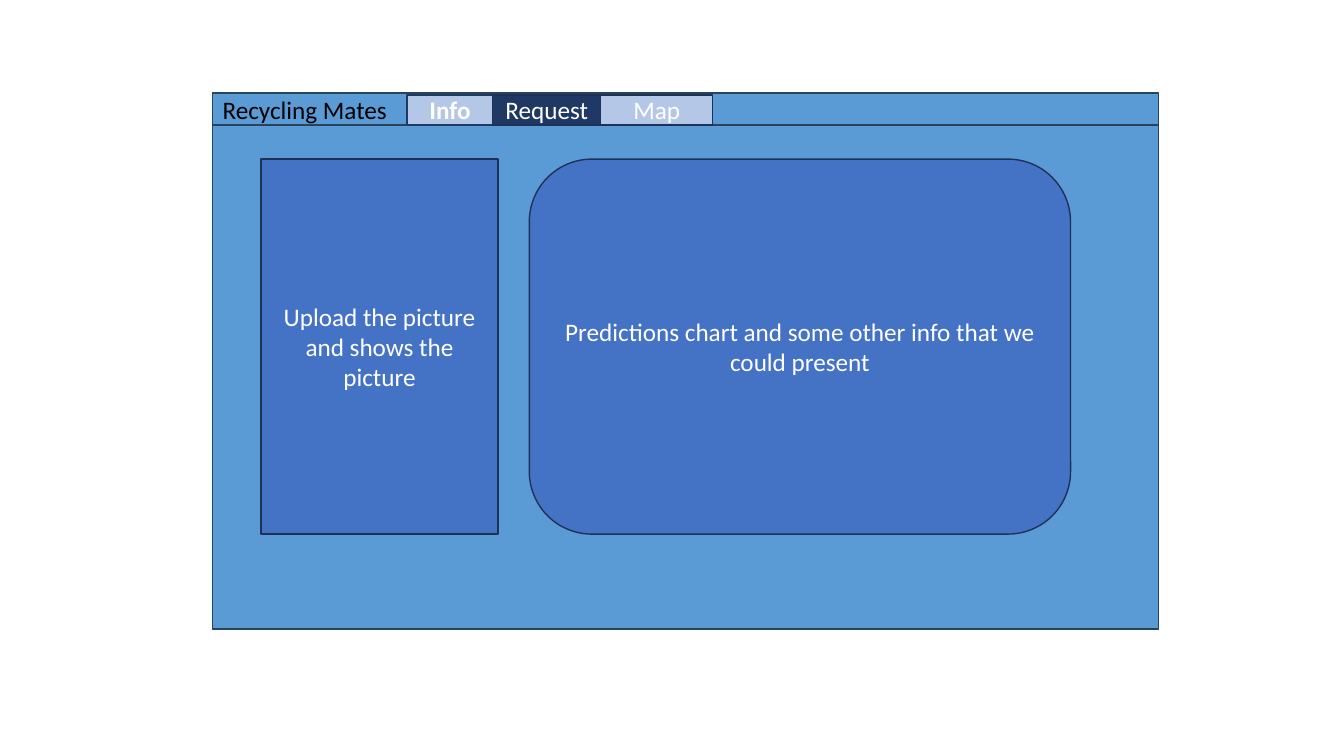
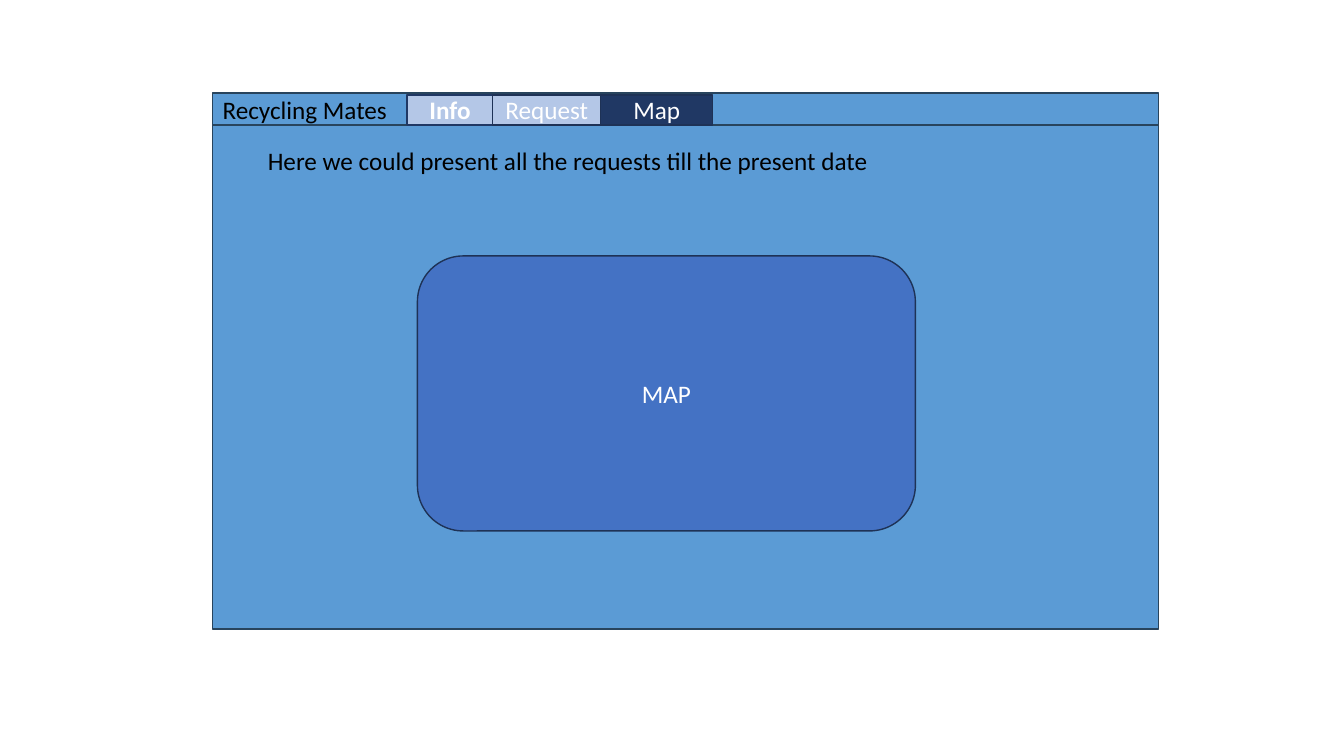
from pptx import Presentation
from pptx.dml.color import RGBColor
from pptx.enum.shapes import MSO_SHAPE
from pptx.enum.text import MSO_ANCHOR, MSO_AUTO_SIZE, PP_ALIGN
from pptx.util import Cm, Pt

RECTANGLE = MSO_SHAPE.RECTANGLE
ROUNDED = MSO_SHAPE.ROUNDED_RECTANGLE
MIDDLE = MSO_ANCHOR.MIDDLE
CENTER = PP_ALIGN.CENTER
FIT_SHAPE = MSO_AUTO_SIZE.SHAPE_TO_FIT_TEXT

WHITE = RGBColor(0xFF, 0xFF, 0xFF)
BLACK = RGBColor(0x00, 0x00, 0x00)
WINDOW_FILL = RGBColor(0x5B, 0x9B, 0xD5)
WINDOW_LINE = RGBColor(0x28, 0x44, 0x5D)
PANEL_FILL = RGBColor(0x44, 0x72, 0xC4)
PANEL_LINE = RGBColor(0x1E, 0x32, 0x56)
TAB_FILL = RGBColor(0xB4, 0xC7, 0xE7)
ACTIVE_TAB_FILL = RGBColor(0x20, 0x38, 0x64)

FONT = "Calibri"
FONT_SIZE = Pt(18)
SITE_NAME = "Recycling Mates"
TABS = [("Info", Cm(2.16)), ("Request", Cm(2.72)), ("Map", Cm(2.82))]

WINDOW_LEFT, WINDOW_TOP, WINDOW_WIDTH = Cm(5.36), Cm(2.34), Cm(23.83)
HEADER_HEIGHT, BODY_HEIGHT = Cm(0.81), Cm(12.7)
HEADER = (WINDOW_LEFT, WINDOW_TOP, WINDOW_WIDTH, HEADER_HEIGHT)
BODY = (WINDOW_LEFT, WINDOW_TOP + HEADER_HEIGHT, WINDOW_WIDTH, BODY_HEIGHT)


def write(shape, text, color, bold=False):
    shape.text_frame.word_wrap = True
    shape.text_frame.text = text
    font = shape.text_frame.paragraphs[0].runs[0].font
    font.name = FONT
    font.size = FONT_SIZE
    font.bold = bold
    font.color.rgb = color


def add_block(slide, kind, box, fill, line, text="", bold=False):
    shape = slide.shapes.add_shape(kind, *box)
    shape.shadow.inherit = False
    shape.fill.solid()
    shape.fill.fore_color.rgb = fill
    shape.line.color.rgb = line
    shape.line.width = Pt(1)
    if text:
        write(shape, text, WHITE, bold)
        shape.text_frame.vertical_anchor = MIDDLE
        shape.text_frame.paragraphs[0].alignment = CENTER


def add_panel(slide, kind, box, text):
    add_block(slide, kind, box, PANEL_FILL, PANEL_LINE, text)


def add_label(slide, left, top, width, text):
    label = slide.shapes.add_textbox(left, top, width, Cm(1.02))
    write(label, text, BLACK)
    label.text_frame.auto_size = FIT_SHAPE


def add_header(slide, box, active_tab):
    left, top, width, height = box
    add_block(slide, RECTANGLE, box, WINDOW_FILL, WINDOW_LINE)
    add_label(slide, left, top - Cm(0.08), Cm(5.82), SITE_NAME)
    tab_left = left + Cm(4.9)
    inset = Cm(0.05)
    for name, tab_width in TABS:
        fill = ACTIVE_TAB_FILL if name == active_tab else TAB_FILL
        line = ACTIVE_TAB_FILL if name == "Info" else PANEL_LINE
        tab_box = (tab_left, top + inset, tab_width, height - inset)
        add_block(slide, RECTANGLE, tab_box, fill, line, name, name == "Info")
        tab_left += tab_width


def add_request_body(slide, box):
    left, top, width, height = box
    panel_top, panel_height = top + Cm(0.86), Cm(9.45)
    add_panel(slide, RECTANGLE,
              (left + Cm(1.22), panel_top, Cm(5.97), panel_height),
              "Upload the picture and shows the picture")
    add_panel(slide, ROUNDED,
              (left + Cm(7.98), panel_top, Cm(13.64), panel_height),
              "Predictions chart and some other info that we could present")


def add_map_body(slide, box):
    left, top, width, height = box
    add_label(slide, left + Cm(1.14), top + Cm(0.38), Cm(16.59),
              "Here we could present all the requests till the present date ")
    add_panel(slide, ROUNDED,
              (left + Cm(5.16), top + Cm(3.3), Cm(12.55), Cm(6.93)), "MAP")


def add_window_slide(presentation, active_tab, add_body):
    slide = presentation.slides.add_slide(presentation.slide_layouts[6])
    add_block(slide, RECTANGLE, BODY, WINDOW_FILL, WINDOW_LINE)
    add_header(slide, HEADER, active_tab)
    add_body(slide, BODY)


presentation = Presentation()
presentation.slide_width = Cm(33.87)
presentation.slide_height = Cm(19.05)
add_window_slide(presentation, "Request", add_request_body)
add_window_slide(presentation, "Map", add_map_body)
presentation.save("out.pptx")
